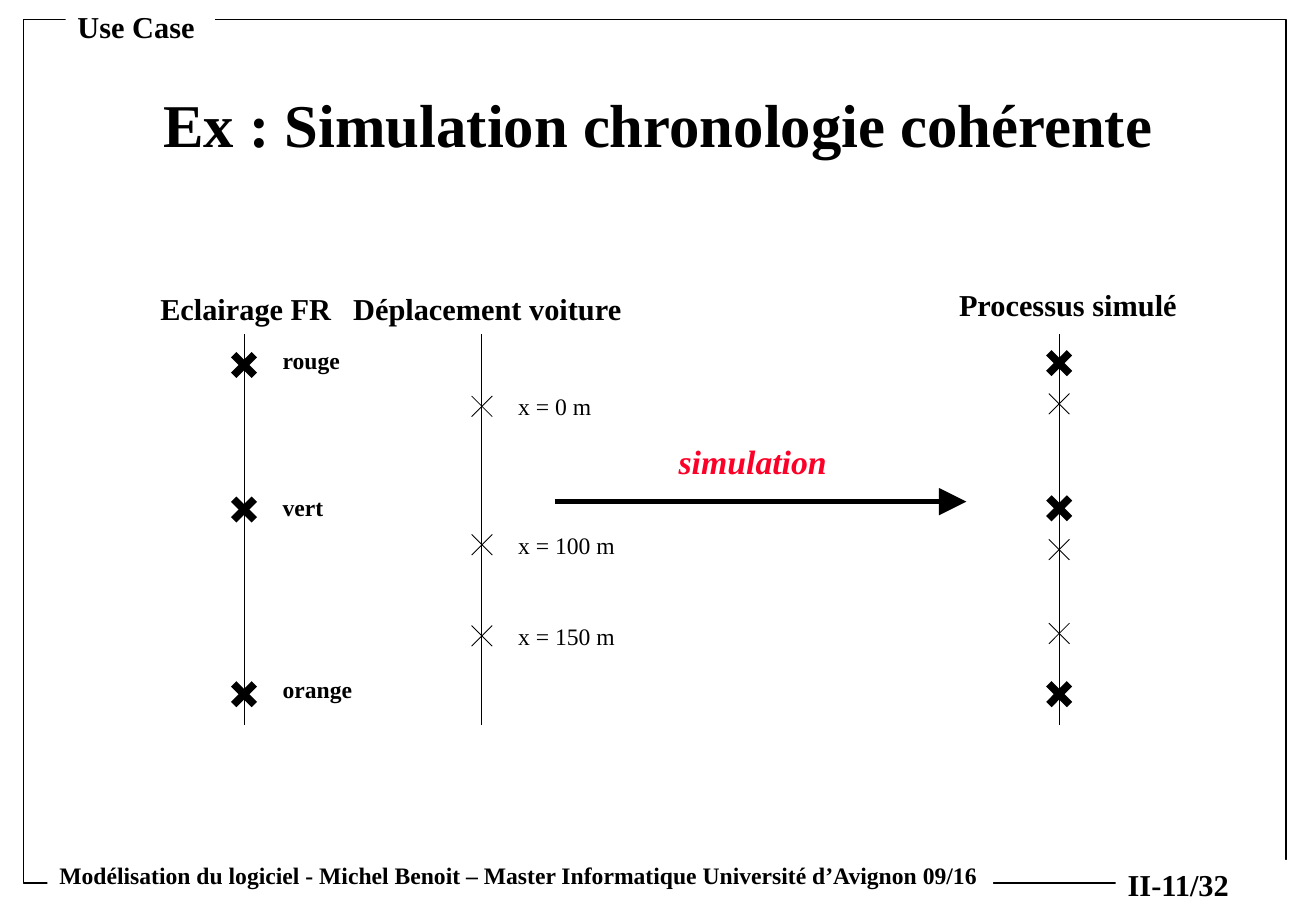
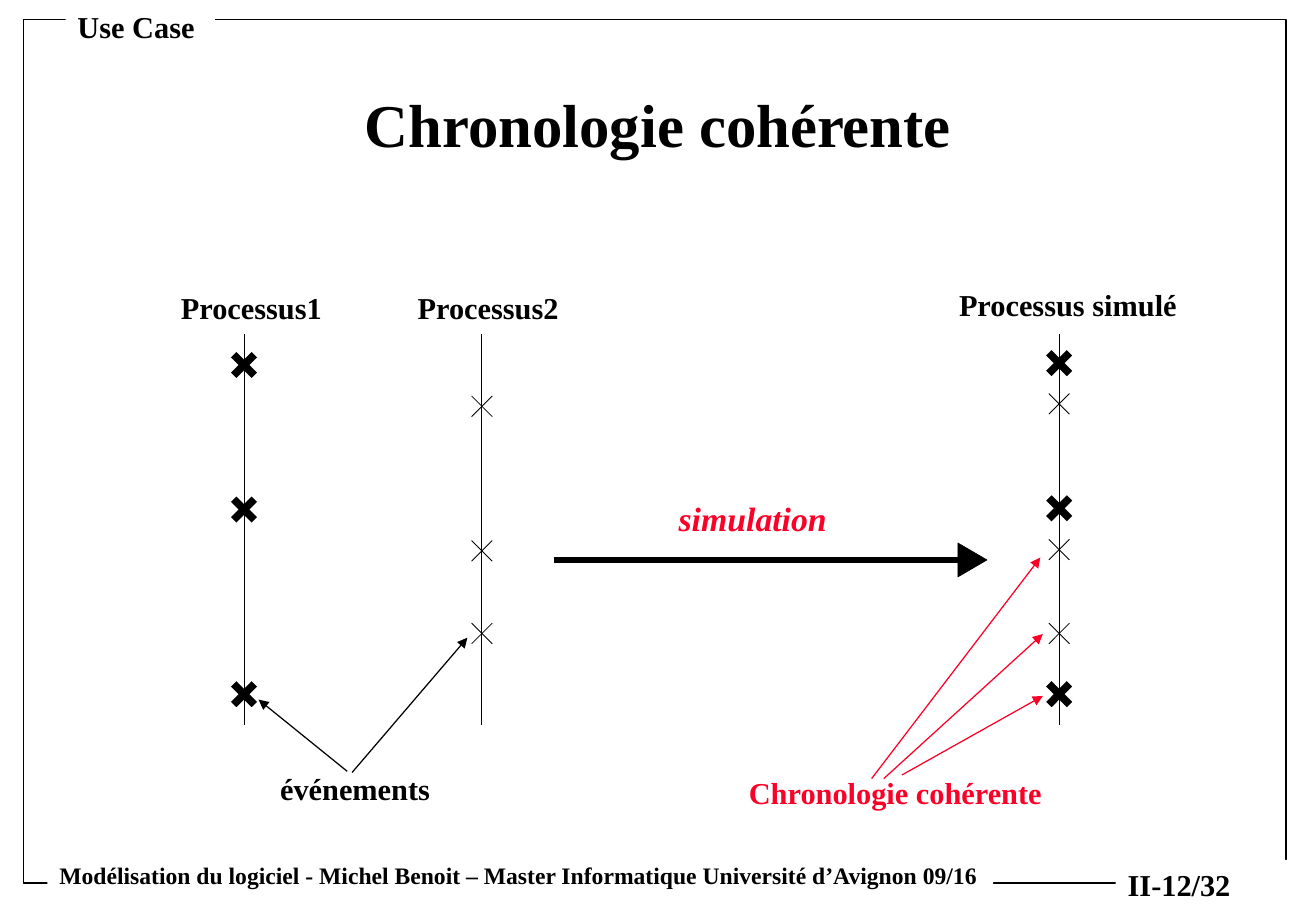
from dataclasses import dataclass

from lxml.etree import SubElement
from pptx import Presentation
from pptx.dml.color import RGBColor
from pptx.enum.shapes import MSO_CONNECTOR as Link, MSO_SHAPE as Preset
from pptx.enum.text import MSO_ANCHOR as Anchor, MSO_AUTO_SIZE as AutoSize, PP_ALIGN as Align
from pptx.oxml.ns import qn
from pptx.shapes.autoshape import Shape
from pptx.shapes.connector import Connector
from pptx.slide import Slide, SlideLayout
from pptx.text.text import TextFrame
from pptx.util import Inches, Pt

COLUMNS, ROWS = 108.4, 75
FONT = "Times New Roman"
BLACK, WHITE, RED = "000000", "FFFFFF", "FC0128"
AXIS_TOP, AXIS_BOTTOM = 27.5, 59.7
CROSS_HALF = 0.85
TITLE_ONLY = 5
FIRST_LAYOUT_ID = 100


@dataclass(frozen=True)
class Box:
    col: float
    row: float
    cols: float
    rows: float


@dataclass(frozen=True)
class Event:
    row: float
    major: bool
    note: str = ""
    note_row: float = 0


@dataclass(frozen=True)
class Process:
    label: str
    box: Box
    axis: float
    events: tuple[Event, ...]
    note_col: float = 0
    note_cols: float = 0


@dataclass(frozen=True)
class Pointer:
    start: tuple[float, float]
    end: tuple[float, float]


@dataclass(frozen=True)
class Callout:
    label: str
    box: Box
    color: str
    align: Align
    pointers: tuple[Pointer, ...]


@dataclass(frozen=True)
class Page:
    title: str
    number: str
    processes: tuple[Process, ...]
    simulation_row: float
    arrow: Pointer
    large_head: bool = False
    callouts: tuple[Callout, ...] = ()


def cells(count: float) -> int:
    return Inches(count / 10)


def rgb(color: str) -> RGBColor:
    return RGBColor.from_string(color)


def place(box: Box) -> tuple[int, int, int, int]:
    return cells(box.col), cells(box.row), cells(box.cols), cells(box.rows)


def apply(target: object, values: dict[str, object]) -> None:
    for name, value in values.items():
        setattr(target, name, value)


def write(frame: TextFrame, words: str, size: float, color: str = BLACK,
          bold: bool = True, italic: bool = False) -> None:
    frame.text = words
    font = frame.paragraphs[0].runs[0].font
    apply(font, {"name": FONT, "size": Pt(size), "bold": bold, "italic": italic})
    font.color.rgb = rgb(color)


def add_text(slide: Slide, words: str, box: Box, size: float, color: str = BLACK,
             bold: bool = True, italic: bool = False, inset: bool = False,
             align: Align = Align.LEFT, anchor: Anchor = Anchor.TOP) -> Shape:
    label = slide.shapes.add_textbox(*place(box))
    frame = label.text_frame
    side, edge = (cells(1), cells(0.5)) if inset else (0, 0)
    apply(frame, {"word_wrap": False, "auto_size": AutoSize.SHAPE_TO_FIT_TEXT,
                  "vertical_anchor": anchor, "margin_left": side, "margin_right": side,
                  "margin_top": edge, "margin_bottom": edge})
    write(frame, words, size, color, bold, italic)
    frame.paragraphs[0].alignment = align
    return label


def add_band(slide: Slide, words: str, box: Box, size: float) -> Shape:
    band = add_text(slide, words, box, size, inset=True)
    band.fill.solid()
    band.fill.fore_color.rgb = rgb(WHITE)
    return band


def add_line(slide: Slide, start: tuple[float, float], end: tuple[float, float],
             width: float, color: str = BLACK, head: str = "") -> Connector:
    line = slide.shapes.add_connector(Link.STRAIGHT, *map(cells, start + end))
    line.line.width = Pt(width)
    line.line.color.rgb = rgb(color)
    properties = line.element.spPr
    if head:
        tail = SubElement(properties.find(qn("a:ln")), qn("a:tailEnd"))
        for name, value in {"type": "triangle", "w": head, "len": head}.items():
            tail.set(name, value)
    SubElement(properties, qn("a:effectLst"))
    return line


def add_cross(slide: Slide, col: float, row: float, major: bool) -> None:
    for slope in (1, -1):
        rise = slope * CROSS_HALF
        add_line(slide, (col - CROSS_HALF, row - rise), (col + CROSS_HALF, row + rise),
                 4.5 if major else 0.5)


def add_process(slide: Slide, process: Process) -> None:
    add_line(slide, (process.axis, AXIS_TOP), (process.axis, AXIS_BOTTOM), 0.5)
    add_text(slide, process.label, process.box, 18)
    for event in process.events:
        add_cross(slide, process.axis, event.row, event.major)
        if event.note:
            add_text(slide, event.note,
                     Box(process.note_col, event.note_row, process.note_cols, 3.4),
                     14, bold=event.major, inset=True)


def add_simulation(slide: Slide, page: Page) -> None:
    arrow = page.arrow
    add_line(slide, arrow.start, arrow.end, 3.25, head="" if page.large_head else "lg")
    if page.large_head:
        col, row = arrow.end
        corners = [(col - 0.6, row - 1.4), (col - 0.6, row + 1.4), (col + 1.8, row)]
        points = [(cells(x), cells(y)) for x, y in corners]
        outline = slide.shapes.build_freeform(*points[0], scale=1.0)
        outline.add_line_segments(points[1:], close=True)
        tip = outline.convert_to_shape()
        tip.shadow.inherit = False
        tip.fill.solid()
        tip.fill.fore_color.rgb = rgb(BLACK)
        tip.line.color.rgb = rgb(BLACK)
        tip.line.width = Pt(0.37)
    add_text(slide, "simulation", Box(55.9, page.simulation_row, 14, 3.3), 20, RED, italic=True)


def add_callout(slide: Slide, callout: Callout) -> None:
    add_text(slide, callout.label, callout.box, 18, callout.color, inset=True,
             align=callout.align, anchor=Anchor.MIDDLE)
    for pointer in callout.pointers:
        add_line(slide, pointer.start, pointer.end, 0.75, callout.color, head="med")


def add_title(slide: Slide, words: str) -> None:
    title = slide.shapes.title
    sides = ("left", "top", "width", "height")
    apply(title, dict(zip(sides, place(Box(11.7, 4.3, 85, 12.5)))))
    frame = title.text_frame
    apply(frame, {"word_wrap": True, "vertical_anchor": Anchor.MIDDLE})
    write(frame, words, 36)
    apply(frame.paragraphs[0], {"alignment": Align.CENTER, "line_spacing": 0.9})


def share_frame(slide: Slide, layout: SlideLayout) -> None:
    border = slide.shapes.add_shape(Preset.RECTANGLE, *place(Box(1.95, 1.6, 104, 71.1)))
    border.shadow.inherit = False
    border.fill.background()
    border.line.color.rgb = rgb(BLACK)
    border.line.width = Pt(1)
    footer = add_band(
        slide, "Modélisation du logiciel - Michel Benoit – Master Informatique Université d’Avignon 09/16",
        Box(3.9, 70.4, 77.9, 3.3), 14)
    header = add_band(slide, "Use Case", Box(5.4, 0.2, 12.3, 4), 18)
    for shape_id, part in enumerate((border, footer, header), FIRST_LAYOUT_ID):
        part.element.xpath(".//p:cNvPr")[0].set("id", str(shape_id))
        layout.shapes.element.append(part.element)


def add_page(slide: Slide, page: Page) -> None:
    add_title(slide, page.title)
    add_band(slide, page.number, Box(91.9, 70.8, COLUMNS - 91.9, 4), 18)
    for process in page.processes:
        add_process(slide, process)
    add_simulation(slide, page)
    for callout in page.callouts:
        add_callout(slide, callout)


SIMULATED = Process("Processus simulé", Box(79, 23.6, 20, 3), 87.25, (
    Event(29.9, True), Event(33.25, False), Event(41.85, True),
    Event(45.25, False), Event(52.15, False), Event(57.15, True)))

PAGES = (
    Page("Ex : Simulation chronologie cohérente", "II-11/32", (
        SIMULATED,
        Process("Déplacement voiture", Box(29.1, 23.9, 24, 3), 39.7, (
            Event(33.45, False, "x = 0 m", 31.8),
            Event(44.85, False, "x = 100 m", 43.2),
            Event(52.35, False, "x = 150 m", 50.7)), 41.7, 12),
        Process("Eclairage FR", Box(13.2, 23.9, 15.5, 3), 20.1, (
            Event(30.05, True, "rouge", 28),
            Event(41.95, True, "vert", 40.1),
            Event(57.15, True, "orange", 55.1)), 22.3, 10)),
        36.3, Pointer((45.7, 41.3), (79.6, 41.3))),
    Page("Chronologie cohérente", "II-12/32", (
        SIMULATED,
        Process("Processus2", Box(34.4, 23.8, 13, 3), 39.7, (
            Event(33.45, False), Event(45.35, False), Event(52.15, False))),
        Process("Processus1", Box(14.9, 23.8, 13, 3), 20.1, (
            Event(30.05, True), Event(41.95, True), Event(57.15, True)))),
        41, Pointer((45.6, 46.1), (79.5, 46.1)), True, (
            Callout("événements", Box(20.25, 62.9, 18, 4), BLACK, Align.CENTER, (
                Pointer((29, 63.6), (38.5, 52.5)),
                Pointer((28.6, 63.5), (21.3, 57.6)))),
            Callout("Chronologie cohérente", Box(60.7, 63.2, 28, 4), RED, Align.LEFT, (
                Pointer((71.8, 64.1), (85.7, 45.9)),
                Pointer((72.8, 64.1), (85.9, 52.2)),
                Pointer((74.3, 63.8), (85.9, 57.3)))))),
)


def main() -> None:
    deck = Presentation()
    apply(deck, {"slide_width": cells(COLUMNS), "slide_height": cells(ROWS)})
    layout = deck.slide_layouts[TITLE_ONLY]
    slides = [deck.slides.add_slide(layout) for _ in PAGES]
    share_frame(slides[0], layout)
    for slide, page in zip(slides, PAGES):
        add_page(slide, page)
    deck.save("out.pptx")


if __name__ == "__main__":
    main()
